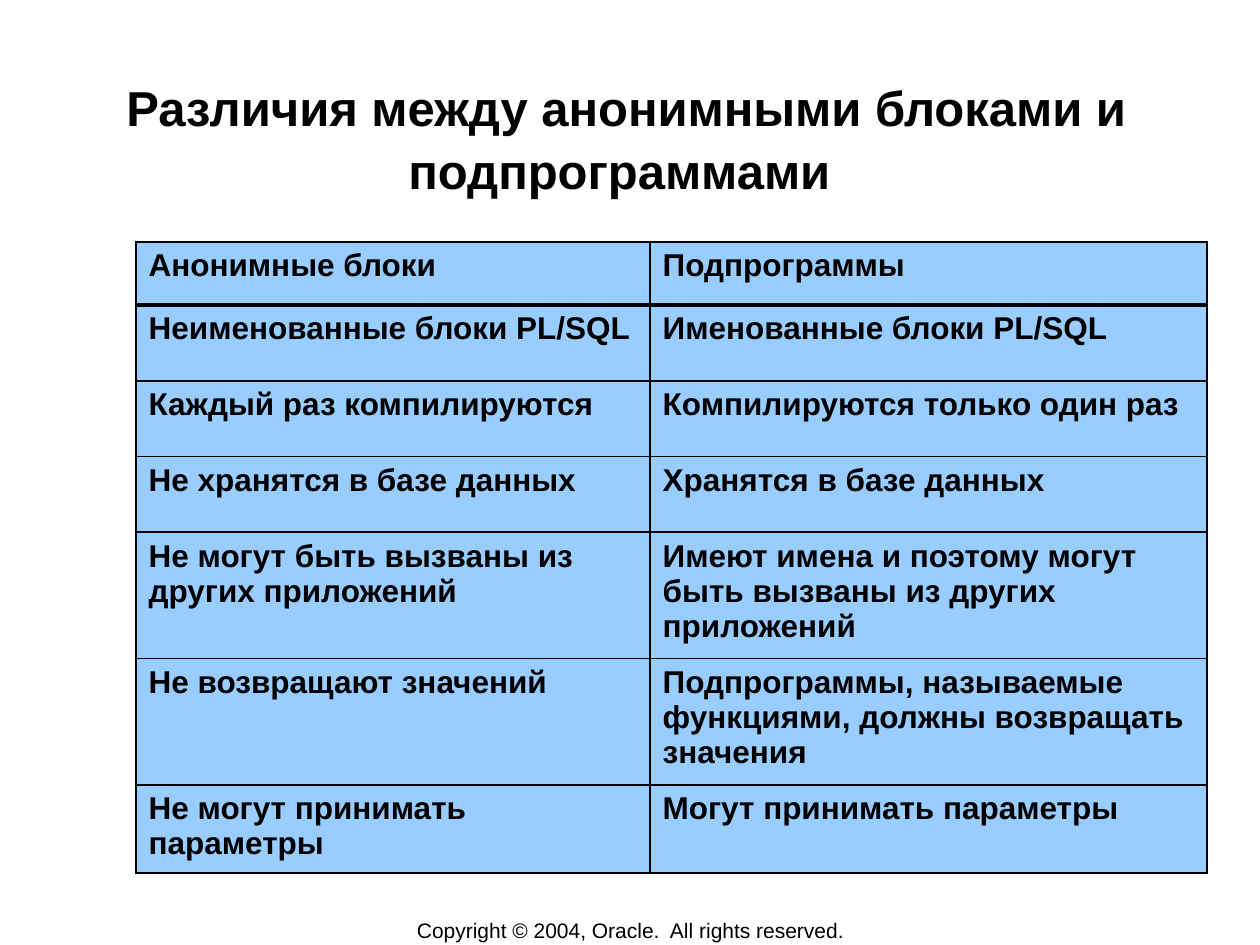
import lxml.etree
import pptx
import pptx.dml.color
import pptx.enum.text
import pptx.oxml.ns
import pptx.util

Inches = pptx.util.Inches
Pt = pptx.util.Pt

BLACK = "000000"
CELL_FILL = "99CCFF"
THIN_BORDER = 1.08
HEADER_BORDER = 2.21
COLUMN_WIDTHS = [4.08, 4.42]
ROW_HEIGHTS = [0.5, 0.6, 0.6, 0.6, 1, 1, 0.7]
COMPARISON = [
    ("Анонимные блоки", "Подпрограммы"),
    ("Неименованные блоки PL/SQL", "Именованные блоки PL/SQL"),
    ("Каждый раз компилируются", "Компилируются только один раз"),
    ("Не хранятся в базе данных", "Хранятся в базе данных"),
    ("Не могут быть вызваны из других приложений",
     "Имеют имена и поэтому могут быть вызваны из других приложений"),
    ("Не возвращают значений",
     "Подпрограммы, называемые функциями, должны возвращать значения"),
    ("Не могут принимать параметры", "Могут принимать параметры"),
]


def color(value):
    return pptx.dml.color.RGBColor.from_string(value)


def format_text(text_frame, size, bold, alignment):
    for paragraph in text_frame.paragraphs:
        paragraph.alignment = alignment
        for run in paragraph.runs:
            run.font.name = "Arial"
            run.font.size = Pt(size)
            run.font.bold = bold
            run.font.color.rgb = color(BLACK)


def add_border(cell, side, width):
    qualified = pptx.oxml.ns.qn
    properties = cell._tc.get_or_add_tcPr()
    line = lxml.etree.SubElement(properties, qualified(f"a:ln{side}"), w=str(Pt(width)))
    fill = lxml.etree.SubElement(line, qualified("a:solidFill"))
    lxml.etree.SubElement(fill, qualified("a:srgbClr"), val=BLACK)


def place_title(slide, left, top, width, height):
    title = slide.shapes.title
    title.left, title.top = Inches(left), Inches(top)
    title.width, title.height = Inches(width), Inches(height)
    text_frame = title.text_frame
    text_frame.text = "Различия между анонимными блоками и подпрограммами "
    text_frame.word_wrap = True
    text_frame.auto_size = pptx.enum.text.MSO_AUTO_SIZE.NONE
    text_frame.vertical_anchor = pptx.enum.text.MSO_ANCHOR.TOP
    text_frame.margin_left = text_frame.margin_right = Inches(0.01)
    text_frame.margin_top = text_frame.margin_bottom = Inches(0.01)
    text_frame.paragraphs[0].line_spacing = 1.06
    format_text(text_frame, 28, True, pptx.enum.text.PP_ALIGN.CENTER)


def format_cell(cell, text, row_index):
    cell.text = text
    format_text(cell.text_frame, 18, True, pptx.enum.text.PP_ALIGN.LEFT)
    add_border(cell, "L", THIN_BORDER)
    add_border(cell, "R", THIN_BORDER)
    add_border(cell, "T", HEADER_BORDER if row_index == 1 else THIN_BORDER)
    add_border(cell, "B", HEADER_BORDER if row_index == 0 else THIN_BORDER)
    cell.fill.solid()
    cell.fill.fore_color.rgb = color(CELL_FILL)


def add_comparison_table(slide, left, top, width, height):
    table = slide.shapes.add_table(
        len(COMPARISON), len(COLUMN_WIDTHS),
        Inches(left), Inches(top), Inches(width), Inches(height),
    ).table
    for column, share in zip(table.columns, COLUMN_WIDTHS):
        column.width = Inches(width * share / sum(COLUMN_WIDTHS))
    for row, share in zip(table.rows, ROW_HEIGHTS):
        row.height = Inches(height * share / sum(ROW_HEIGHTS))
    for row_index, texts in enumerate(COMPARISON):
        for column_index, text in enumerate(texts):
            format_cell(table.cell(row_index, column_index), text, row_index)


def add_copyright(slide, left, top, width, height):
    shape = slide.shapes.add_textbox(
        Inches(left), Inches(top), Inches(width), Inches(height)
    )
    text_frame = shape.text_frame
    text_frame.text = "Copyright © 2004, Oracle.  All rights reserved."
    text_frame.word_wrap = False
    text_frame.vertical_anchor = pptx.enum.text.MSO_ANCHOR.MIDDLE
    format_text(text_frame, 12, False, pptx.enum.text.PP_ALIGN.CENTER)


def main():
    presentation = pptx.Presentation()
    presentation.slide_width = Inches(10)
    presentation.slide_height = Inches(7.5)
    slide = presentation.slides.add_slide(
        presentation.slide_layouts.get_by_name("Title Only")
    )
    slide.background.fill.solid()
    slide.background.fill.fore_color.rgb = color("FFFFFF")
    add_copyright(slide, 2.76, 7.28, 4.49, 0.21)
    place_title(slide, 0.97, 0.58, 8, 0.96)
    add_comparison_table(slide, 1.08, 1.92, 8.5, 5.01)
    presentation.save("out.pptx")


if __name__ == "__main__":
    main()
